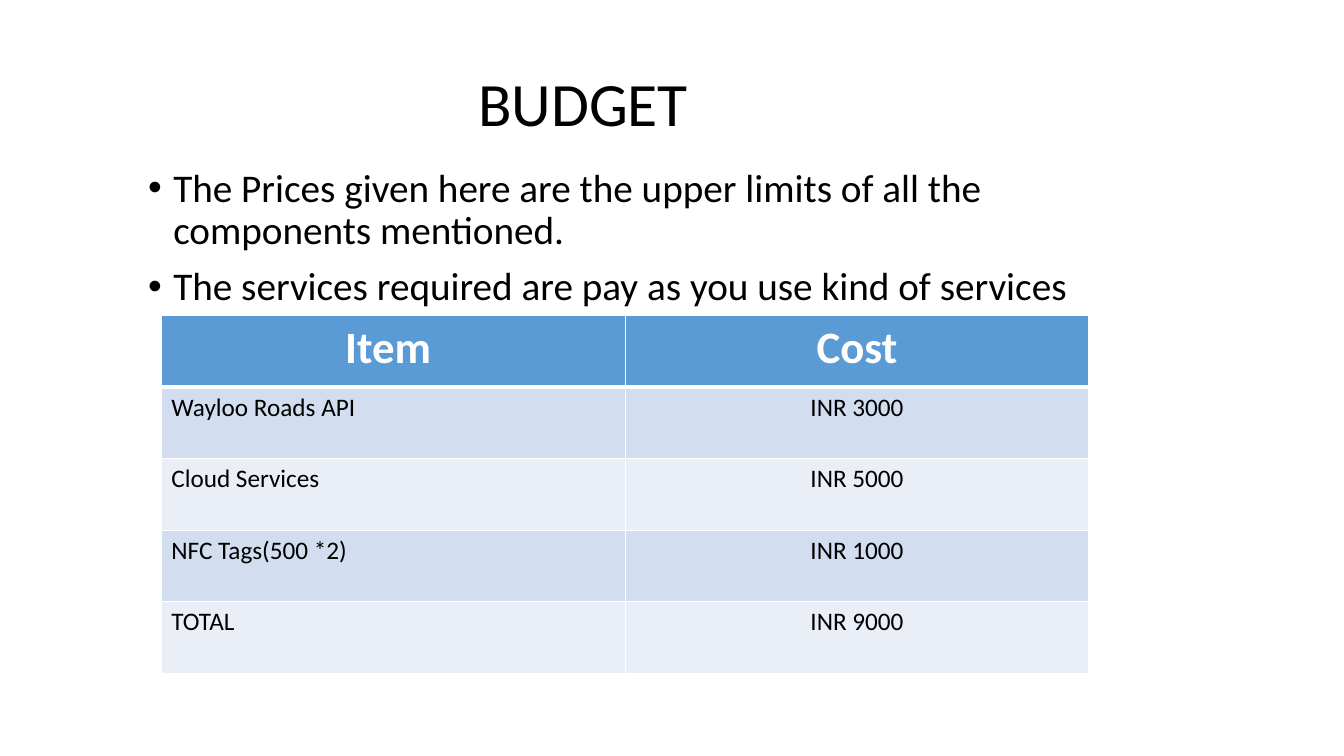
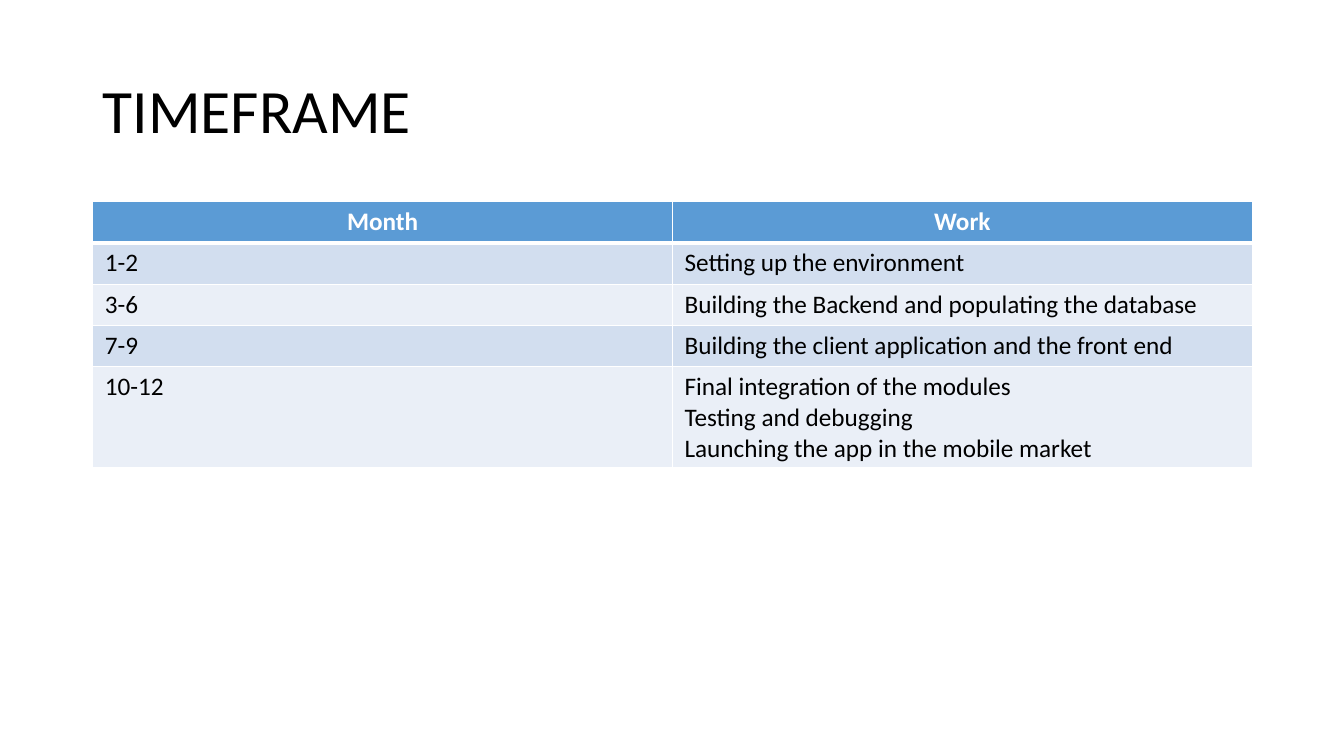
"""Build the budget and timeframe slides."""
from lxml.etree import SubElement
from pptx import Presentation
from pptx.dml.color import RGBColor
from pptx.enum.text import MSO_ANCHOR as Anchor, PP_ALIGN as Align
from pptx.oxml import parse_xml
from pptx.oxml.ns import nsdecls, qn
from pptx.util import Inches, Pt

FONT = "Calibri"
BLACK, WHITE, HEAD = "000000", "FFFFFF", "5B9BD5"
BANDS = ["D2DEEF", "EAEFF7"]


def style(para, size, color=BLACK, bold=False, align=Align.LEFT):
    para.alignment = align
    for run in para.runs:
        font = run.font
        font.name, font.size, font.bold = FONT, Pt(size), bold
        font.color.rgb = RGBColor.from_string(color)


def edge(cell, side, width):
    return parse_xml(
        f'<a:{side} {nsdecls("a")} w="{Pt(width)}"><a:solidFill>'
        f'<a:srgbClr val="{WHITE}"/></a:solidFill></a:{side}>')


deck = Presentation()
deck.slide_width, deck.slide_height = Inches(13.33), Inches(7.5)

points = ["The Prices given here are the upper limits of all the components mentioned.",
          "The services required are pay as you use kind of services"]
costs = [["Item ", "Cost"],
         ["Wayloo Roads API", "INR 3000"],
         ["Cloud Services", "INR 5000"],
         ["NFC Tags(500 *2)", "INR 1000"],
         ["TOTAL", "INR 9000"]]
plan = [["Month", "Work"],
        ["1-2", "Setting up the environment"],
        ["3-6", "Building the Backend and populating the database"],
        ["7-9", "Building the client application and the front end"],
        ["10-12", "Final integration of the modules\nTesting and debugging\n"
                  "Launching the app in the mobile market"]]

pages = [
    dict(title="BUDGET ", box=(0.71, 0.5, 10.29, 1.12), align=Align.CENTER,
         points=points, rows=costs, left=1.6, top=3.13, width=9.2, height=0.71,
         size=32, pad=0.1, last=Align.CENTER),
    dict(title="TIMEFRAME", box=(0.92, 0.4, 11.5, 1.45), align=Align.LEFT,
         points=[], rows=plan, left=0.92, top=2, width=11.5, height=0.41,
         size=18, pad=0.12, last=Align.LEFT),
]

for page in pages:
    slide = deck.slides.add_slide(deck.slide_layouts[6])

    title = slide.shapes.add_textbox(*map(Inches, page["box"])).text_frame
    title.word_wrap = True
    title.vertical_anchor = Anchor.MIDDLE
    title.text = page["title"]
    title.paragraphs[0].line_spacing = 0.9
    style(title.paragraphs[0], 44, align=page["align"])

    if page["points"]:
        body = slide.shapes.add_textbox(
            Inches(1.37), Inches(1.62), Inches(10.28), Inches(5.21)).text_frame
        body.word_wrap = True
        body.text = "\n".join(page["points"])
        for para in body.paragraphs:
            para.line_spacing, para.space_before = 0.9, Pt(10)
            style(para, 28)
            props = para._p.get_or_add_pPr()
            props.set("marL", str(Inches(0.25)))
            props.set("indent", str(Inches(-0.25)))
            SubElement(props, qn("a:buFont")).set("typeface", "Arial")
            SubElement(props, qn("a:buChar")).set("char", "•")

    rows = page["rows"]
    table = slide.shapes.add_table(
        len(rows), 2, Inches(page["left"]), Inches(page["top"]),
        Inches(page["width"]), Inches(page["height"] * len(rows))).table
    for r, row in enumerate(rows):
        table.rows[r].height = Inches(page["height"])
        for c, text in enumerate(row):
            cell = table.cell(r, c)
            cell.text = text
            cell.margin_left = cell.margin_right = Inches(page["pad"])
            cell.fill.solid()
            fill = BANDS[(r - 1) % 2] if r else HEAD
            cell.fill.fore_color.rgb = RGBColor.from_string(fill)
            for para in cell.text_frame.paragraphs:
                if r == 0:
                    style(para, page["size"], WHITE, True, Align.CENTER)
                else:
                    style(para, 18, align=page["last"] if c else Align.LEFT)
            widths = dict(lnL=1, lnR=1, lnT=3 if r == 1 else 1, lnB=1 if r else 3)
            for i, (side, width) in enumerate(widths.items()):
                cell._tc.tcPr.insert(i, edge(cell, side, width))

deck.save("out.pptx")
